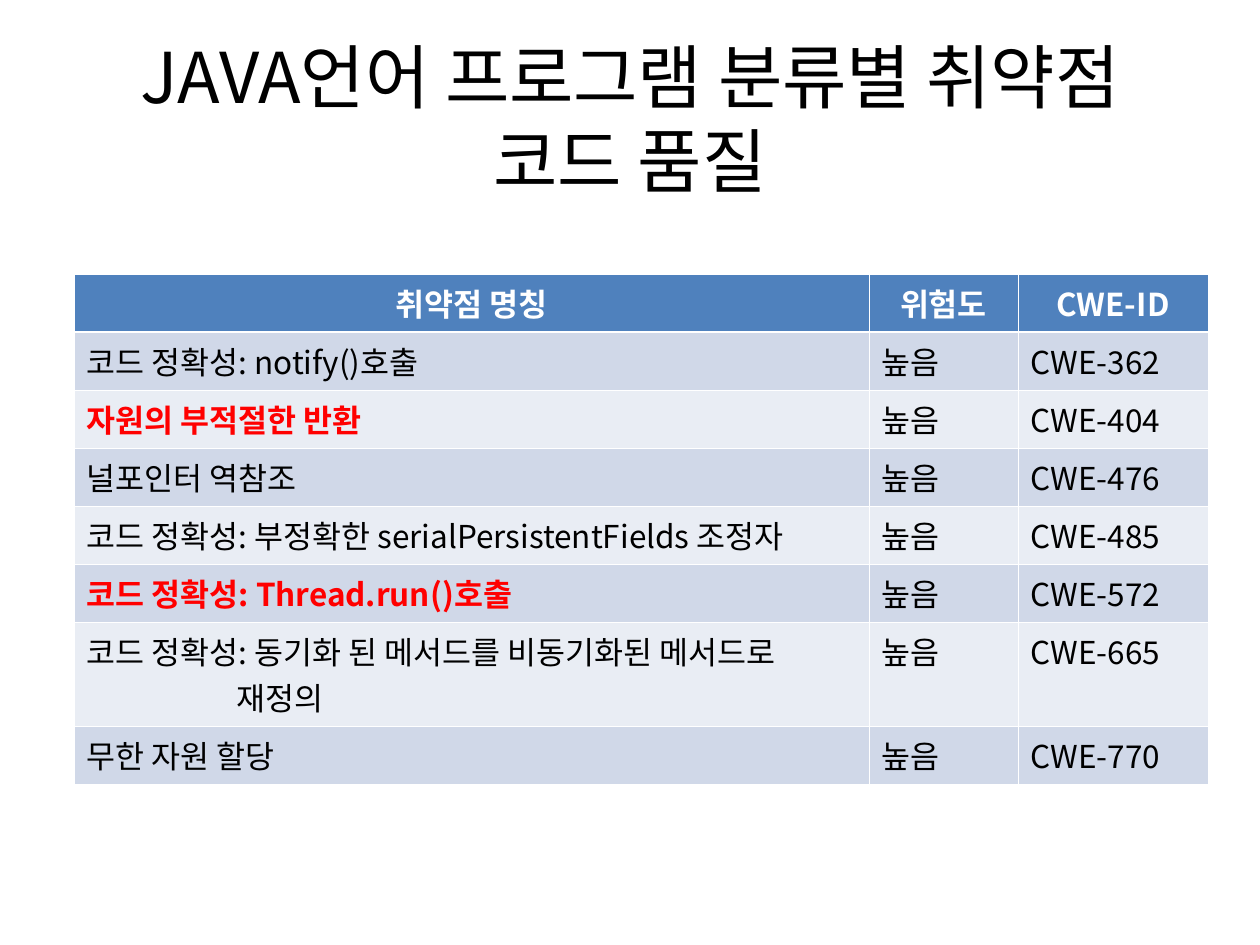
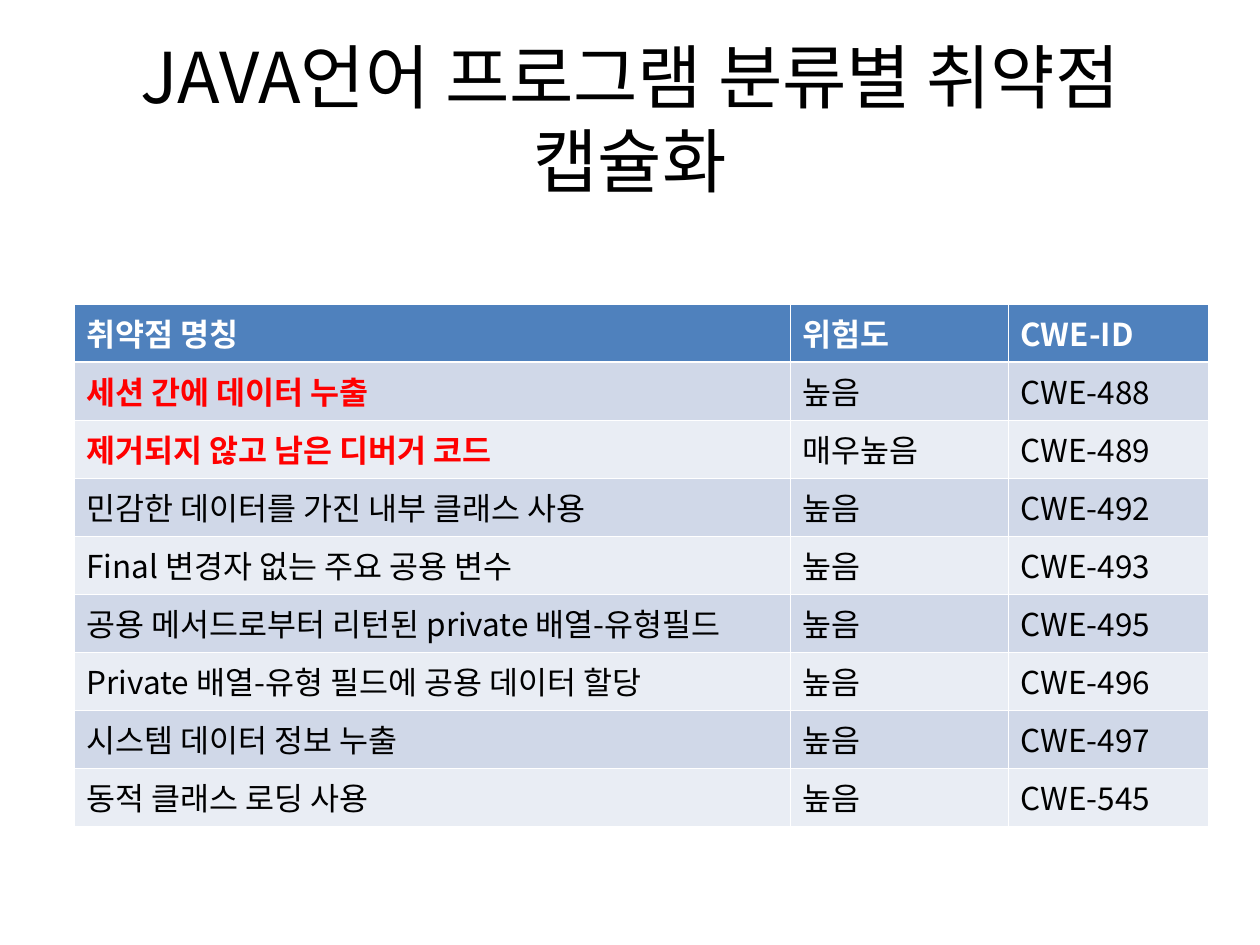
"""Build two slides that list Java weaknesses by category."""
from dataclasses import dataclass

from lxml import etree
from pptx import Presentation
from pptx.dml.color import RGBColor
from pptx.enum.text import MSO_ANCHOR, PP_ALIGN
from pptx.oxml.ns import qn
from pptx.util import Pt

CENTER, LEFT = PP_ALIGN.CENTER, PP_ALIGN.LEFT
MIDDLE = MSO_ANCHOR.MIDDLE
EMU_PER_PX = 914400 / 126
BLANK_LAYOUT = 6


@dataclass(frozen=True)
class Theme:
    """Colours, type sizes and line widths of the deck."""
    font: str = "Noto Sans CJK KR"
    ink: str = "000000"
    white: str = "FFFFFF"
    alert: str = "FF0000"
    header: str = "4F81BD"
    bands: tuple = ("D0D8E8", "E9EDF4")
    title_size: int = 40
    table_size: int = 18
    thin: float = 0.45
    thick: float = 1.47


THEME = Theme()
TITLE = "JAVA언어 프로그램 분류별 취약점"
HEADINGS = ("취약점 명칭", "위험도", "CWE-ID")
TABLE_LEFT, ROW_HEIGHT, TALL_ROW_HEIGHT = 74, 58, 104
WRAP_INDENT = 150

QUALITY_ROWS = (
    ("코드 정확성: notify()호출", "높음", "CWE-362"),
    ("자원의 부적절한 반환", "높음", "CWE-404"),
    ("널포인터 역참조", "높음", "CWE-476"),
    ("코드 정확성: 부정확한 serialPersistentFields 조정자", "높음", "CWE-485"),
    ("코드 정확성: Thread.run()호출", "높음", "CWE-572"),
    ("코드 정확성: 동기화 된 메서드를 비동기화된 메서드로\n재정의", "높음", "CWE-665"),
    ("무한 자원 할당", "높음", "CWE-770"),
)
ENCAPSULATION_ROWS = (
    ("세션 간에 데이터 누출", "높음", "CWE-488"),
    ("제거되지 않고 남은 디버거 코드", "매우높음", "CWE-489"),
    ("민감한 데이터를 가진 내부 클래스 사용", "높음", "CWE-492"),
    ("Final 변경자 없는 주요 공용 변수", "높음", "CWE-493"),
    ("공용 메서드로부터 리턴된 private 배열-유형필드", "높음", "CWE-495"),
    ("Private 배열-유형 필드에 공용 데이터 할당", "높음", "CWE-496"),
    ("시스템 데이터 정보 누출", "높음", "CWE-497"),
    ("동적 클래스 로딩 사용", "높음", "CWE-545"),
)
KEY_IDS = {"CWE-404", "CWE-572", "CWE-488", "CWE-489"}


def px(length):
    """Turn pixels into EMU."""
    return round(length * EMU_PER_PX)


def style_paragraph(para, size, color, bold=False, align=LEFT):
    """Set the font and alignment of one paragraph."""
    para.alignment = align
    font = para.font
    font.name, font.size, font.bold = THEME.font, Pt(size), bold
    font.color.rgb = RGBColor.from_string(color)


def add_title(page, category):
    """Add the two-line title."""
    box = page.shapes.add_textbox(px(63), px(38), px(1134), px(158))
    frame = box.text_frame
    frame.word_wrap = True
    frame.vertical_anchor = MIDDLE
    para = frame.paragraphs[0]
    para.text = f"{TITLE}\v{category}"
    style_paragraph(para, THEME.title_size, THEME.ink, align=CENTER)


def add_borders(cell, top, bottom):
    """Draw white lines on all four sides of a cell."""
    properties = cell._tc.get_or_add_tcPr()
    widths = {"lnL": THEME.thin, "lnR": THEME.thin, "lnT": top, "lnB": bottom}
    for side, width in widths.items():
        line = etree.SubElement(properties, qn(f"a:{side}"), w=str(Pt(width)))
        fill = etree.SubElement(line, qn("a:solidFill"))
        etree.SubElement(fill, qn("a:srgbClr"), val=THEME.white)


def fill_cell(cell, text, fill, color, bold, align):
    """Write and colour one table cell."""
    cell.text = text
    cell.fill.solid()
    cell.fill.fore_color.rgb = RGBColor.from_string(fill)
    for index, para in enumerate(cell.text_frame.paragraphs):
        style_paragraph(para, THEME.table_size, color, bold, align)
        if index:
            para._p.pPr.set("marL", str(px(WRAP_INDENT)))


def add_weakness_table(page, top, widths, rows, heading_align):
    """Add a table of weaknesses with a header row and banded rows."""
    lines = (HEADINGS, *rows)
    heights = [TALL_ROW_HEIGHT if "\n" in line[0] else ROW_HEIGHT for line in lines]
    table = page.shapes.add_table(
        len(lines), len(widths), px(TABLE_LEFT), px(top),
        px(sum(widths)), px(sum(heights))).table
    table.horz_banding = False
    for column, width in zip(table.columns, widths):
        column.width = px(width)
    for row_index, line in enumerate(lines):
        table.rows[row_index].height = px(heights[row_index])
        is_header = row_index == 0
        for column_index, text in enumerate(line):
            cell = table.cell(row_index, column_index)
            add_borders(cell, THEME.thick if row_index == 1 else THEME.thin,
                        THEME.thick if is_header else THEME.thin)
            if is_header:
                fill_cell(cell, text, THEME.header, THEME.white, True, heading_align)
                continue
            is_key = column_index == 0 and line[-1] in KEY_IDS
            fill_cell(cell, text, THEME.bands[(row_index - 1) % 2],
                      THEME.alert if is_key else THEME.ink, is_key, LEFT)


def main():
    """Build and save the deck."""
    deck = Presentation()
    deck.slide_width, deck.slide_height = px(1260), px(945)
    contents = (
        ("코드 품질", 274, (795, 149, 190), QUALITY_ROWS, CENTER),
        ("캡슐화", 304, (716, 218, 200), ENCAPSULATION_ROWS, LEFT),
    )
    for category, *table_settings in contents:
        page = deck.slides.add_slide(deck.slide_layouts[BLANK_LAYOUT])
        add_title(page, category)
        add_weakness_table(page, *table_settings)
    deck.save("out.pptx")


if __name__ == "__main__":
    main()
